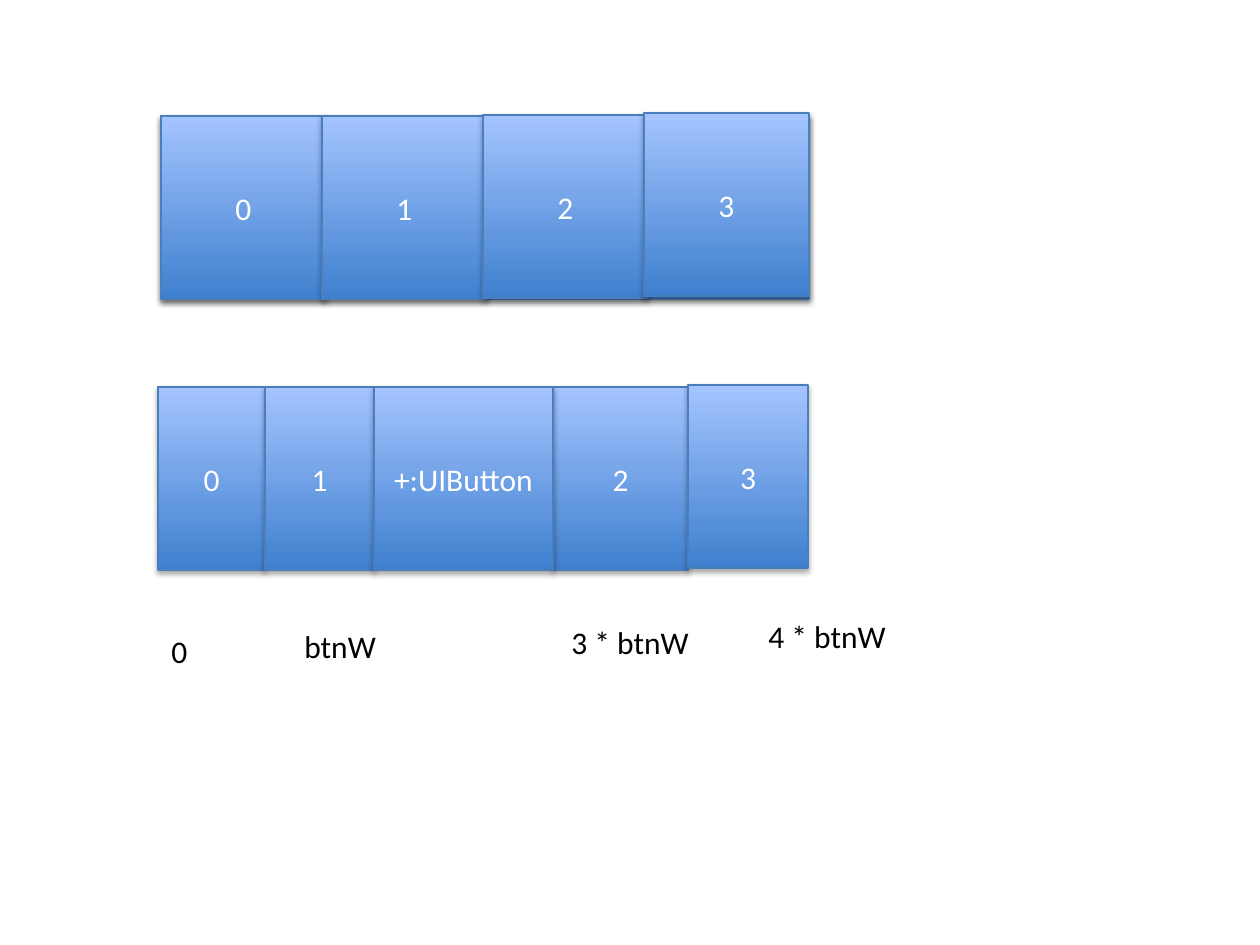
from dataclasses import dataclass
from itertools import accumulate

from lxml import etree
from pptx import Presentation
from pptx.dml.color import RGBColor
from pptx.enum.shapes import MSO_SHAPE
from pptx.enum.text import MSO_ANCHOR, MSO_AUTO_SIZE, PP_ALIGN
from pptx.oxml import parse_xml
from pptx.util import Pt

RECTANGLE = MSO_SHAPE.RECTANGLE
MIDDLE = MSO_ANCHOR.MIDDLE
CENTER = PP_ALIGN.CENTER
FIT_SHAPE = MSO_AUTO_SIZE.SHAPE_TO_FIT_TEXT

# Content: lengths in px
EQUAL_TABS = [("0", 116), ("1", 116), ("2", 115), ("3", 113)]  # text, top
MIXED_TABS = [  # text, top, width
    ("0", 387, 107),
    ("1", 387, 109),
    ("+:UIButton", 387, 179),
    ("2", 387, 135),
    ("3", 385, 120),
]
FRONT_TAB = "+:UIButton"
OFFSETS = [  # text, left, top, width
    ("0", 159, 626, 42),
    ("btnW", 292, 621, 98),
    ("3 * btnW", 559, 617, 161),
    ("4 * btnW", 756, 611, 161),
]

# Layout in px
PAGE_SIZE = (1260, 945)
TAB_HEIGHT = 183
BAR = (161, 116, 648, TAB_HEIGHT)
TAB_PITCH, TAB_WIDTH = 161, 165
MIXED_LEFT = 158
OFFSET_HEIGHT = 50


@dataclass(frozen=True)
class Theme:
    bottom: RGBColor = RGBColor.from_string("3F80CE")
    top: RGBColor = RGBColor.from_string("A4C4FF")
    outline: RGBColor = RGBColor.from_string("4B7EBC")
    tab_text: RGBColor = RGBColor.from_string("FFFFFF")
    offset_text: RGBColor = RGBColor.from_string("000000")
    font: str = "Calibri"
    size: int = 18


THEME = Theme()
SHADOW = (
    '<a:outerShdw xmlns:a="http://schemas.openxmlformats.org/drawingml/2006/main"'
    ' blurRad="40000" dist="23000" dir="5400000" rotWithShape="0">'
    '<a:srgbClr val="000000"><a:alpha val="35000"/></a:srgbClr></a:outerShdw>'
)


def px(*lengths):
    return [round(length * 914400 / 126) for length in lengths]


def write(shape, text, color):
    para = shape.text_frame.paragraphs[0]
    para.text = text
    para.font.name = THEME.font
    para.font.size = Pt(THEME.size)
    para.font.color.rgb = color
    return para


def add_tab(page, left, top, width, height, text=""):
    tab = page.shapes.add_shape(RECTANGLE, *px(left, top, width, height))
    tab.fill.gradient()
    tab.fill.gradient_angle = 90
    for stop, color in zip(tab.fill.gradient_stops, (THEME.bottom, THEME.top)):
        stop.color.rgb = color
    tab.line.color.rgb = THEME.outline
    tab.line.width = Pt(0.75)
    tab.shadow.inherit = False
    effects = tab.element.spPr.find("{*}effectLst")
    effects.append(parse_xml(etree.tostring(etree.fromstring(SHADOW))))
    if text:
        tab.text_frame.vertical_anchor = MIDDLE
        write(tab, text, THEME.tab_text).alignment = CENTER


def add_offset(page, text, left, top, width):
    box = page.shapes.add_textbox(*px(left, top, width, OFFSET_HEIGHT))
    box.text_frame.word_wrap = False
    box.text_frame.auto_size = FIT_SHAPE
    write(box, text, THEME.offset_text)


def main():
    deck = Presentation()
    deck.slide_width, deck.slide_height = px(*PAGE_SIZE)
    page = deck.slides.add_slide(deck.slide_layouts[6])

    # Upper bar with equal tabs
    add_tab(page, *BAR)
    for index, (text, top) in enumerate(EQUAL_TABS):
        add_tab(page, BAR[0] + index * TAB_PITCH, top, TAB_WIDTH, TAB_HEIGHT, text)

    # Lower bar: tabs side by side, the button in front
    lefts = accumulate((width for _, _, width in MIXED_TABS), initial=MIXED_LEFT)
    placed = sorted(zip(lefts, MIXED_TABS), key=lambda item: item[1][0] == FRONT_TAB)
    for left, (text, top, width) in placed:
        add_tab(page, left, top, width, TAB_HEIGHT, text)

    # Offsets below the tabs
    for offset in OFFSETS:
        add_offset(page, *offset)

    deck.save("out.pptx")


if __name__ == "__main__":
    main()
